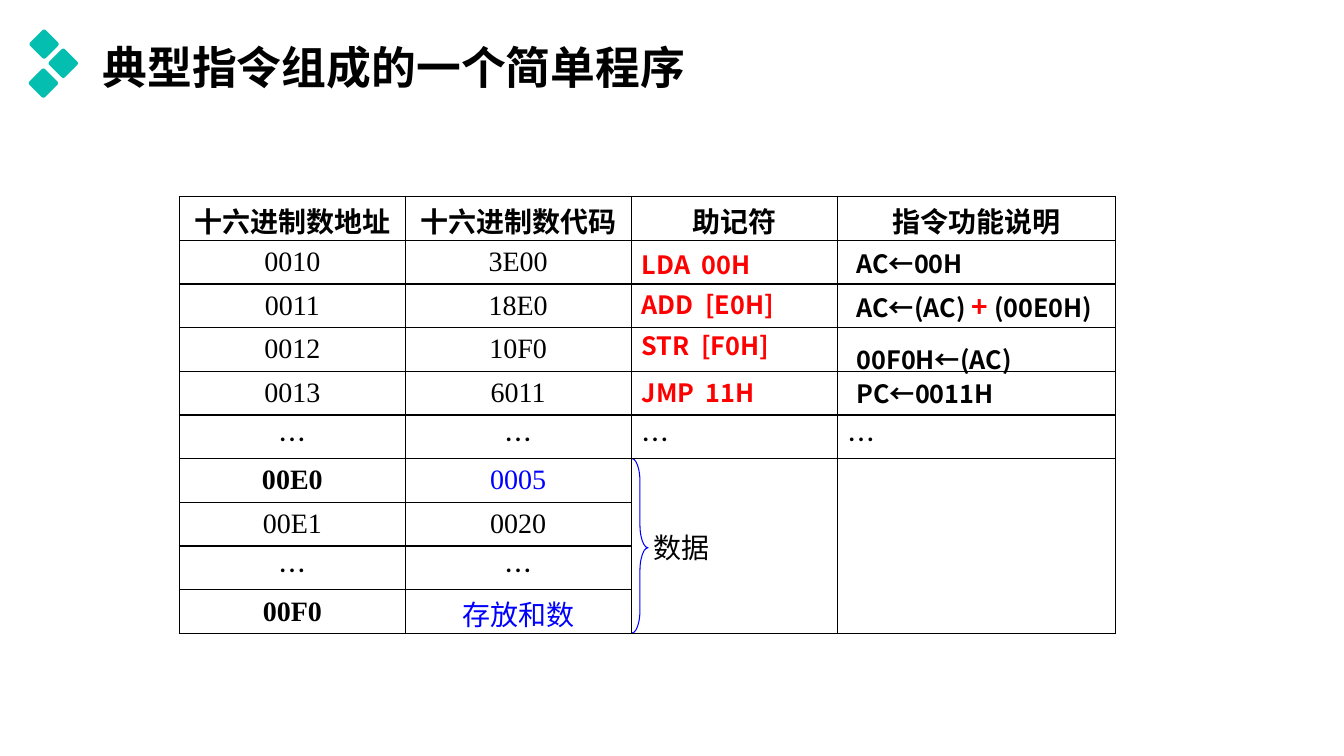
"""Build a slide that lists a simple program made of typical instructions."""
from lxml import etree
from pptx import Presentation
from pptx.dml.color import RGBColor
from pptx.enum.shapes import MSO_SHAPE
from pptx.enum.text import MSO_ANCHOR, MSO_AUTO_SIZE, PP_ALIGN
from pptx.oxml.ns import qn
from pptx.util import Pt

DIAMOND, BRACE = MSO_SHAPE.ROUNDED_RECTANGLE, MSO_SHAPE.RIGHT_BRACE
MIDDLE, FIXED = MSO_ANCHOR.MIDDLE, MSO_AUTO_SIZE.NONE
LEFT, CENTER = PP_ALIGN.LEFT, PP_ALIGN.CENTER
SANS, SERIF = "Noto Sans CJK SC", "Times New Roman"
BLACK, RED, BLUE, TEAL = "000000", "FF0000", "0000FF", "04BEB0"


def rgb(color):
    """Return the colour for a hex string."""
    return RGBColor.from_string(color)


def add_run(paragraph, text, size, color, bold, font):
    """Add one formatted run, with the sans font for Chinese characters."""
    run = paragraph.add_run()
    run.text = text
    run.font.size = Pt(size)
    run.font.bold = bold
    run.font.name = font
    run.font.color.rgb = rgb(color)
    etree.SubElement(run.font._element, qn("a:ea"), typeface=SANS)


deck = Presentation()
deck.slide_width, deck.slide_height = Pt(960), Pt(540)
slide = deck.slides.add_slide(deck.slide_layouts[5])
shapes = slide.shapes

title = shapes.title
title.left, title.top, title.width, title.height = Pt(-57.6), Pt(24.5), Pt(678.2), Pt(46)
heading = title.text_frame
heading.auto_size = FIXED
heading.vertical_anchor = MIDDLE
heading.margin_top = heading.margin_bottom = 0
heading.paragraphs[0].alignment = CENTER
add_run(heading.paragraphs[0], "典型指令组成的一个简单程序", 32, BLACK, True, SANS)

SIDE = 15.8
for center_x, center_y in [(31.5, 31.5), (45.2, 45.2), (31, 59.4)]:
    diamond = shapes.add_shape(
        DIAMOND, Pt(center_x - SIDE / 2), Pt(center_y - SIDE / 2), Pt(SIDE), Pt(SIDE))
    diamond.rotation = 45
    diamond.adjustments[0] = 0.11
    diamond.shadow.inherit = False
    diamond.fill.solid()
    diamond.fill.fore_color.rgb = rgb(TEAL)
    diamond.line.fill.background()

brace = shapes.add_shape(BRACE, Pt(451.4), Pt(327.6), Pt(11.5), Pt(124.6))
brace.adjustments[0] = 1.428
brace.adjustments[1] = 0.511
brace.shadow.inherit = False
brace.fill.background()
brace.line.color.rgb = rgb(BLUE)
brace.line.width = Pt(0.75)

HEADERS = ["十六进制数地址", "十六进制数代码", "助记符", "指令功能说明"]
PROGRAM = [
    HEADERS,
    ["0010", "3E00", "", ""],
    ["0011", "18E0", "", ""],
    ["0012", "10F0", "", ""],
    ["0013", "6011", "", ""],
    ["…", "…", "…", "…"],
    ["00E0", "0005", "数据", ""],
    ["00E1", "0020", "", ""],
    ["…", "…", "", ""],
    ["00F0", "存放和数", "", ""],
]
BOLD_TEXTS = HEADERS + ["00E0", "00F0"]
BLUE_TEXTS = ["0005", "存放和数"]
COLUMN_WIDTHS = [161.3, 161.3, 147.6, 198.7]
ROW_HEIGHT = 31.2

program = shapes.add_table(
    len(PROGRAM), len(HEADERS), Pt(128.2), Pt(140.4),
    Pt(sum(COLUMN_WIDTHS)), Pt(ROW_HEIGHT * len(PROGRAM))).table
program.first_row = program.horz_banding = False
for column, width in zip(program.columns, COLUMN_WIDTHS):
    column.width = Pt(width)
for row_index, entries in enumerate(PROGRAM):
    program.rows[row_index].height = Pt(ROW_HEIGHT)
    for column_index, entry in enumerate(entries):
        cell = program.cell(row_index, column_index)
        cell.vertical_anchor = MIDDLE
        cell.margin_top = Pt(2.2) if entry in HEADERS + ["…", "存放和数"] else 0
        cell.margin_bottom = 0
        for side in ("a:lnL", "a:lnR", "a:lnT", "a:lnB"):
            border = etree.SubElement(cell._tc.get_or_add_tcPr(), qn(side), w=str(Pt(1)))
            paint = etree.SubElement(border, qn("a:solidFill"))
            etree.SubElement(paint, qn("a:srgbClr"), val=BLACK)
        cell.fill.background()
        if entry:
            paragraph = cell.text_frame.paragraphs[0]
            centered = column_index < 2 or row_index == 0
            paragraph.alignment = CENTER if centered else LEFT
            if entry == "数据":
                paragraph._p.get_or_add_pPr().set("indent", str(Pt(8.6)))
            add_run(paragraph, entry, 20, BLUE if entry in BLUE_TEXTS else BLACK,
                    entry in BOLD_TEXTS, SANS if entry == "…" else SERIF)
for column_index in (2, 3):
    program.cell(6, column_index).merge(program.cell(9, column_index))

MNEMONIC_X, MEANING_X = 451.4, 604.8
INSTRUCTION_LABELS = [
    (MNEMONIC_X, 174.2, 142, 28.8, 1, [("LDA  00H", 18, RED)]),
    (MNEMONIC_X, 203, 119, 28.8, 1, [("ADD  [E0H]", 18, RED)]),
    (MNEMONIC_X, 232.6, 142, 28.8, 1, [("STR  [F0H]", 18, RED)]),
    (MNEMONIC_X, 265.7, 136, 28.8, 1, [("JMP  11H", 18, RED)]),
    (MEANING_X, 173.5, 113, 28.8, 1, [("AC←00H", 18, BLACK)]),
    (MEANING_X, 203, 205, 31.7, 1,
     [("AC←(AC) ", 18, BLACK), ("+ ", 20, RED), ("(00E0H)", 18, BLACK)]),
    (MEANING_X, 231.1, 205, 40.3, 1.5, [("00F0H←(AC)", 18, BLACK)]),
    (MEANING_X, 266.4, 136, 28.8, 1, [("PC←0011H", 18, BLACK)]),
]
for left, top, width, height, spacing, pieces in INSTRUCTION_LABELS:
    label = shapes.add_textbox(Pt(left), Pt(top), Pt(width), Pt(height)).text_frame
    label.word_wrap = True
    label.vertical_anchor = MIDDLE
    label.margin_top = label.margin_bottom = 0
    label.paragraphs[0].line_spacing = spacing
    for text, size, color in pieces:
        add_run(label.paragraphs[0], text, size, color, True, SANS)

deck.save("out.pptx")
